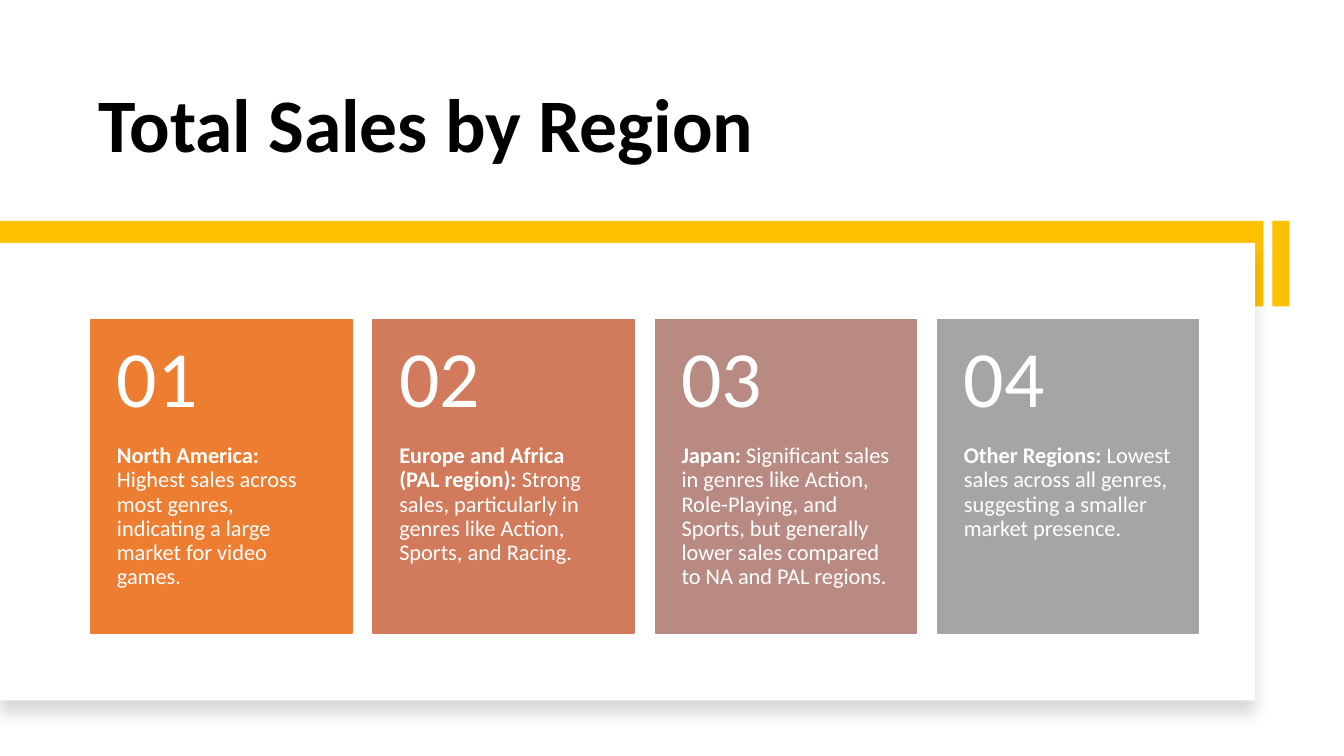
from dataclasses import dataclass

from lxml.etree import SubElement
from pptx import Presentation
from pptx.dml.color import RGBColor
from pptx.enum.shapes import MSO_SHAPE
from pptx.enum.text import MSO_ANCHOR, PP_ALIGN
from pptx.oxml.ns import qn
from pptx.util import Inches, Pt

# Content
TITLE = "Total Sales by Region"
REGIONS = [
    ("North America:",
     " Highest sales across most genres, indicating a large market for video games.",
     "ED7D31"),
    ("Europe and Africa (PAL region):",
     " Strong sales, particularly in genres like Action, Sports, and Racing.",
     "D17B5C"),
    ("Japan:",
     " Significant sales in genres like Action, Role-Playing, and Sports, "
     "but generally lower sales compared to NA and PAL regions.",
     "B98A82"),
    ("Other Regions:",
     " Lowest sales across all genres, suggesting a smaller market presence.",
     "A5A5A5"),
]


@dataclass(frozen=True)
class Theme:
    font: str = "Calibri"
    ink: str = "000000"
    paper: str = "FFFFFF"
    accent: str = "FFC000"
    title_size: int = 54
    number_size: int = 57
    body_size: int = 16


THEME = Theme()

# Layout, in inches
CARD_LEFT, CARD_TOP = 0.9, 3.17
CARD_WIDTH, CARD_HEIGHT = 2.59, 3.11
CARD_PITCH = 2.8
NUMBER_HEIGHT = 1.24
CARD_INSET = 0.26
BAND_TOP, BAND_HEIGHT = 2.19, 0.85

presentation = Presentation()
presentation.slide_width, presentation.slide_height = Inches(13.33), Inches(7.5)
slide = presentation.slides.add_slide(presentation.slide_layouts[6])


def add_block(left, top, width, height, color, outlined=False):
    block = slide.shapes.add_shape(
        MSO_SHAPE.RECTANGLE, Inches(left), Inches(top), Inches(width), Inches(height))
    block.shadow.inherit = False
    block.fill.solid()
    block.fill.fore_color.rgb = RGBColor.from_string(color)
    if outlined:
        block.line.color.rgb = RGBColor.from_string(color)
        block.line.width = Pt(1)
    else:
        block.line.fill.background()
    return block


def add_text(box, insets, runs, size, color, anchor, space_after=0):
    """Place (text, bold) runs in a box; insets run left, top, right, bottom."""
    left, top, width, height = (Inches(value) for value in box)
    frame = slide.shapes.add_textbox(left, top, width, height).text_frame
    frame.word_wrap = True
    frame.vertical_anchor = anchor
    (frame.margin_left, frame.margin_top,
     frame.margin_right, frame.margin_bottom) = (Inches(value) for value in insets)
    paragraph = frame.paragraphs[0]
    paragraph.alignment = PP_ALIGN.LEFT
    paragraph.line_spacing = 0.9
    paragraph.space_after = Pt(space_after)
    for text, bold in runs:
        run = paragraph.add_run()
        run.text = text
        run.font.name = THEME.font
        run.font.size = Pt(size)
        run.font.bold = bold
        run.font.color.rgb = RGBColor.from_string(color)


def add_soft_shadow(block):
    effects = block.element.spPr.find(qn("a:effectLst"))
    shadow = SubElement(effects, qn("a:outerShdw"), blurRad=str(Pt(11)),
                        dist=str(Pt(10)), dir="5400000", algn="t", rotWithShape="0")
    color = SubElement(shadow, qn("a:srgbClr"), val=THEME.ink)
    SubElement(color, qn("a:alpha"), val="15000")


# Title
add_text((0.88, 0.42, 10.1, 1.3), (0.1, 0.05, 0.1, 0.05), [(TITLE, True)],
         THEME.title_size, THEME.ink, MSO_ANCHOR.BOTTOM)

# Accent band and the white panel over it
add_block(12.62, BAND_TOP, 0.17, BAND_HEIGHT, THEME.accent)
add_block(0, BAND_TOP, 12.53, BAND_HEIGHT, THEME.accent)
panel = add_block(0, 2.41, 12.45, 4.54, THEME.paper)
add_soft_shadow(panel)

# Region cards
for index, (region, finding, color) in enumerate(REGIONS):
    left = CARD_LEFT + index * CARD_PITCH
    add_block(left, CARD_TOP, CARD_WIDTH, CARD_HEIGHT, color, outlined=True)
    add_text((left, CARD_TOP + NUMBER_HEIGHT, CARD_WIDTH, CARD_HEIGHT - NUMBER_HEIGHT),
             (CARD_INSET, 0, CARD_INSET, 0.36), [(region, True), (finding, False)],
             THEME.body_size, THEME.paper, MSO_ANCHOR.TOP, THEME.body_size * 0.35)
    add_text((left, CARD_TOP, CARD_WIDTH, NUMBER_HEIGHT),
             (CARD_INSET, 0.18, CARD_INSET, 0.18), [(f"{index + 1:02d}", False)],
             THEME.number_size, THEME.paper, MSO_ANCHOR.MIDDLE, THEME.number_size * 0.35)

presentation.save("out.pptx")
